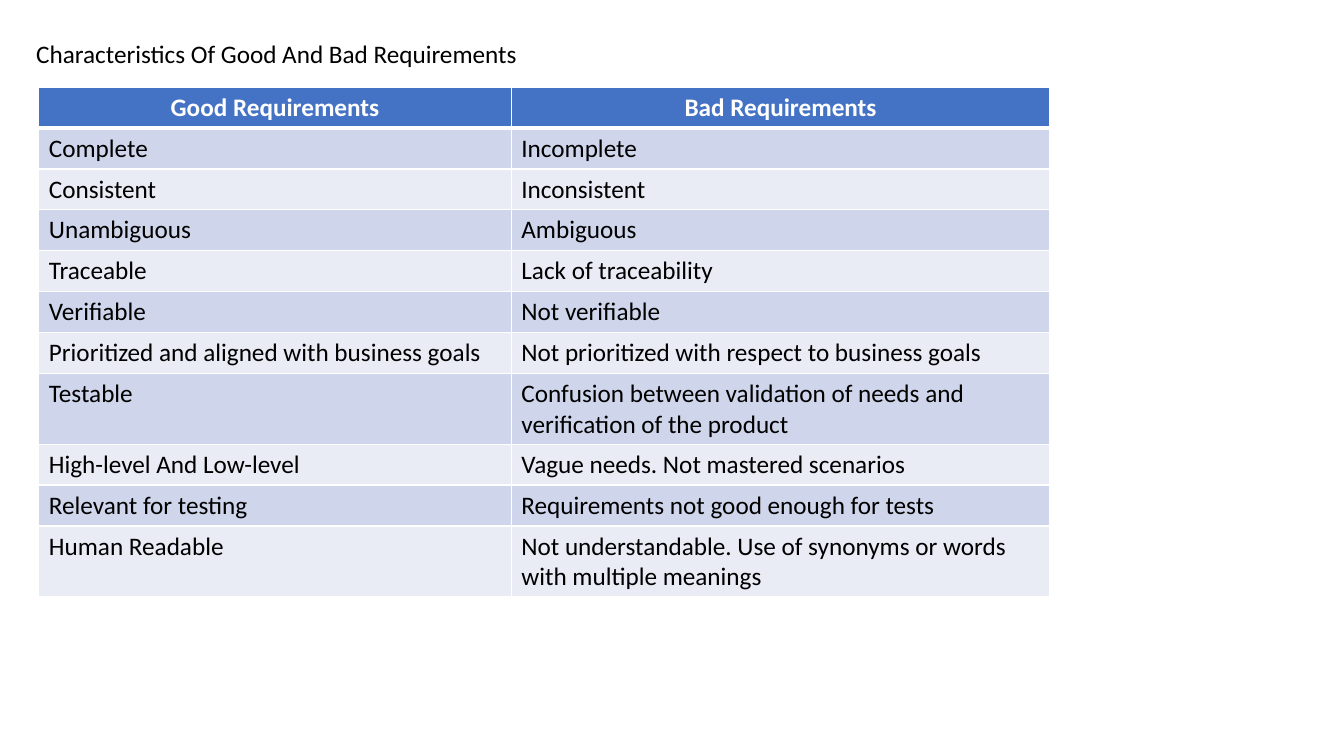
"""Build a slide that compares good and bad requirements in a table."""
from dataclasses import dataclass

import lxml.etree
import pptx
import pptx.dml.color
import pptx.enum.text
import pptx.oxml.ns
import pptx.table
import pptx.text.text
import pptx.util

EMU_PER_PX = 9525
FONT_NAME = "Calibri"
FONT_SIZE = pptx.util.Pt(18)

BLACK = pptx.dml.color.RGBColor(0x00, 0x00, 0x00)
WHITE = pptx.dml.color.RGBColor(0xFF, 0xFF, 0xFF)
HEADER_BLUE = pptx.dml.color.RGBColor(0x44, 0x72, 0xC4)
BAND_DARK = pptx.dml.color.RGBColor(0xCF, 0xD5, 0xEA)
BAND_LIGHT = pptx.dml.color.RGBColor(0xE9, 0xEB, 0xF5)

COLUMN_WIDTHS = (450, 513)
ROW_HEIGHT = 39
THIN_BORDER = 1
HEADER_BORDER = 3


@dataclass(frozen=True)
class Comparison:
    good: str
    bad: str


@dataclass(frozen=True)
class RowStyle:
    fill: pptx.dml.color.RGBColor
    color: pptx.dml.color.RGBColor = BLACK
    bold: bool = False
    alignment: pptx.enum.text.PP_ALIGN = pptx.enum.text.PP_ALIGN.LEFT
    top: int = THIN_BORDER
    bottom: int = THIN_BORDER


COMPARISONS = (
    Comparison("Good Requirements", "Bad Requirements"),
    Comparison("Complete", "Incomplete"),
    Comparison("Consistent", "Inconsistent"),
    Comparison("Unambiguous", "Ambiguous"),
    Comparison("Traceable", "Lack of traceability"),
    Comparison("Verifiable", "Not verifiable"),
    Comparison("Prioritized and aligned with business goals",
               "Not prioritized with respect to business goals"),
    Comparison("Testable",
               "Confusion between validation of needs and verification of the product"),
    Comparison("High-level And Low-level", "Vague needs. Not mastered scenarios"),
    Comparison("Relevant for testing", "Requirements not good enough for tests"),
    Comparison("Human Readable",
               "Not understandable. Use of synonyms or words with multiple meanings"),
)


def px(length: int) -> pptx.util.Emu:
    """Convert px to EMU."""
    return pptx.util.Emu(length * EMU_PER_PX)


def add_run(paragraph: pptx.text.text._Paragraph, text: str,
            color: pptx.dml.color.RGBColor, bold: bool = False) -> None:
    """Add one run in the slide's font."""
    run = paragraph.add_run()
    run.text = text
    run.font.name = FONT_NAME
    run.font.size = FONT_SIZE
    run.font.bold = bold
    run.font.color.rgb = color


def set_borders(cell: pptx.table._Cell, style: RowStyle) -> None:
    """Draw white borders around a cell, ahead of its fill."""
    properties = cell._tc.get_or_add_tcPr()
    qn = pptx.oxml.ns.qn
    widths = {"lnL": THIN_BORDER, "lnR": THIN_BORDER,
              "lnT": style.top, "lnB": style.bottom}
    for position, (side, width) in enumerate(widths.items()):
        line = lxml.etree.Element(qn(f"a:{side}"), w=str(pptx.util.Pt(width)))
        fill = lxml.etree.SubElement(line, qn("a:solidFill"))
        lxml.etree.SubElement(fill, qn("a:srgbClr"), val=str(WHITE))
        properties.insert(position, line)


def row_style(index: int) -> RowStyle:
    """Return the look of the header or of a banded row."""
    if index == 0:
        return RowStyle(HEADER_BLUE, WHITE, True, pptx.enum.text.PP_ALIGN.CENTER,
                        bottom=HEADER_BORDER)
    return RowStyle(BAND_DARK if index % 2 else BAND_LIGHT,
                    top=HEADER_BORDER if index == 1 else THIN_BORDER)


def fill_cell(cell: pptx.table._Cell, text: str, style: RowStyle) -> None:
    """Write and style one cell."""
    cell.fill.solid()
    cell.fill.fore_color.rgb = style.fill
    set_borders(cell, style)
    paragraph = cell.text_frame.paragraphs[0]
    paragraph.alignment = style.alignment
    add_run(paragraph, text, style.color, style.bold)


def add_title(slide: pptx.slide.Slide) -> None:
    """Add the heading above the table."""
    shape = slide.shapes.add_textbox(px(25), px(32), px(483), px(38))
    shape.text_frame.word_wrap = False
    shape.text_frame.auto_size = pptx.enum.text.MSO_AUTO_SIZE.SHAPE_TO_FIT_TEXT
    add_run(shape.text_frame.paragraphs[0],
            "Characteristics Of Good And Bad Requirements", BLACK)


def add_comparison_table(slide: pptx.slide.Slide) -> None:
    """Add the table of good and bad requirements."""
    table = slide.shapes.add_table(
        len(COMPARISONS), len(COLUMN_WIDTHS), px(37), px(83),
        px(sum(COLUMN_WIDTHS)), px(ROW_HEIGHT * len(COMPARISONS))).table
    for column, width in zip(table.columns, COLUMN_WIDTHS):
        column.width = px(width)
    for index, comparison in enumerate(COMPARISONS):
        style = row_style(index)
        fill_cell(table.cell(index, 0), comparison.good, style)
        fill_cell(table.cell(index, 1), comparison.bad, style)


def main() -> None:
    """Build and save the presentation."""
    presentation = pptx.Presentation()
    presentation.slide_width = px(1280)
    presentation.slide_height = px(720)
    slide = presentation.slides.add_slide(presentation.slide_layouts[6])
    add_title(slide)
    add_comparison_table(slide)
    presentation.save("out.pptx")


if __name__ == "__main__":
    main()
